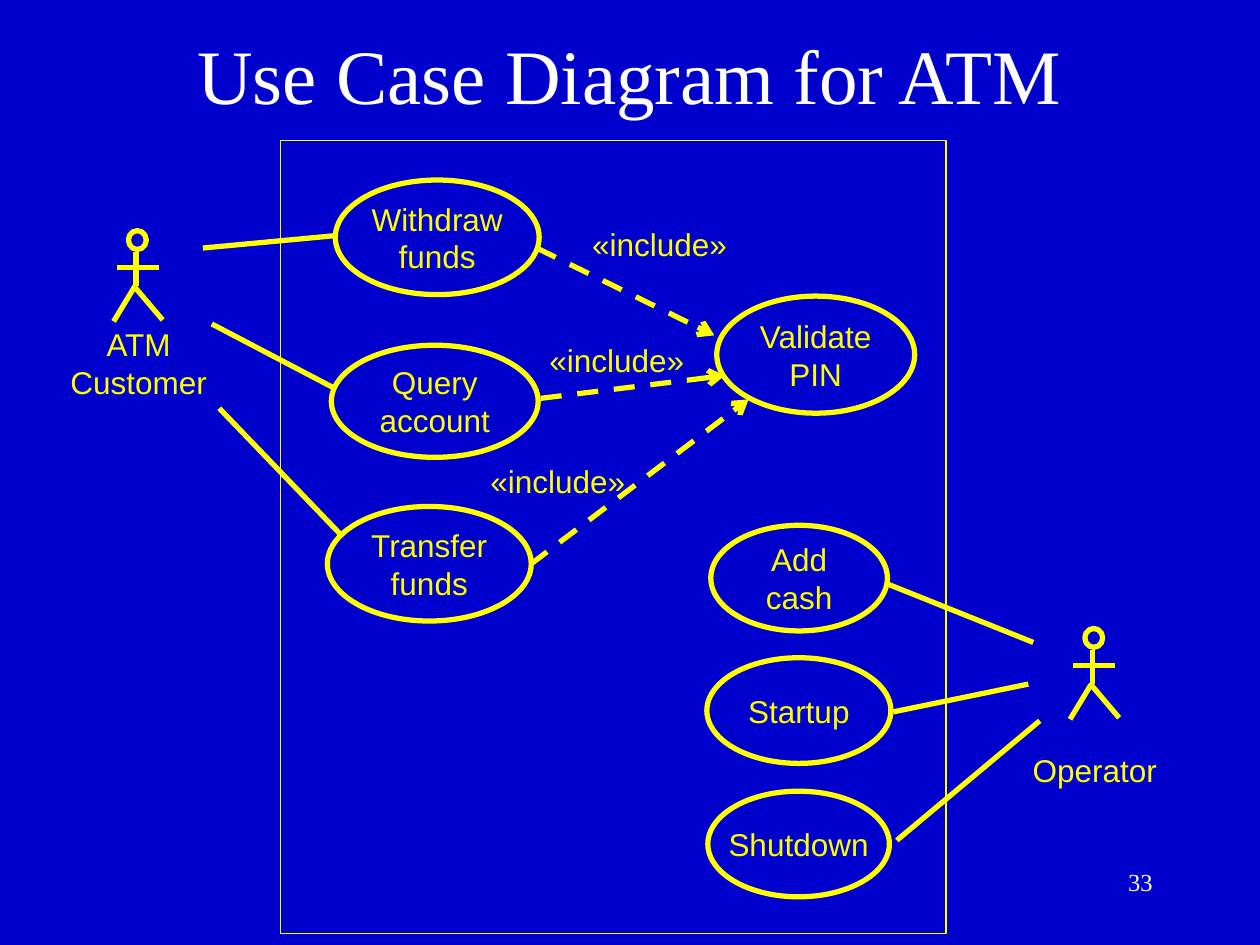
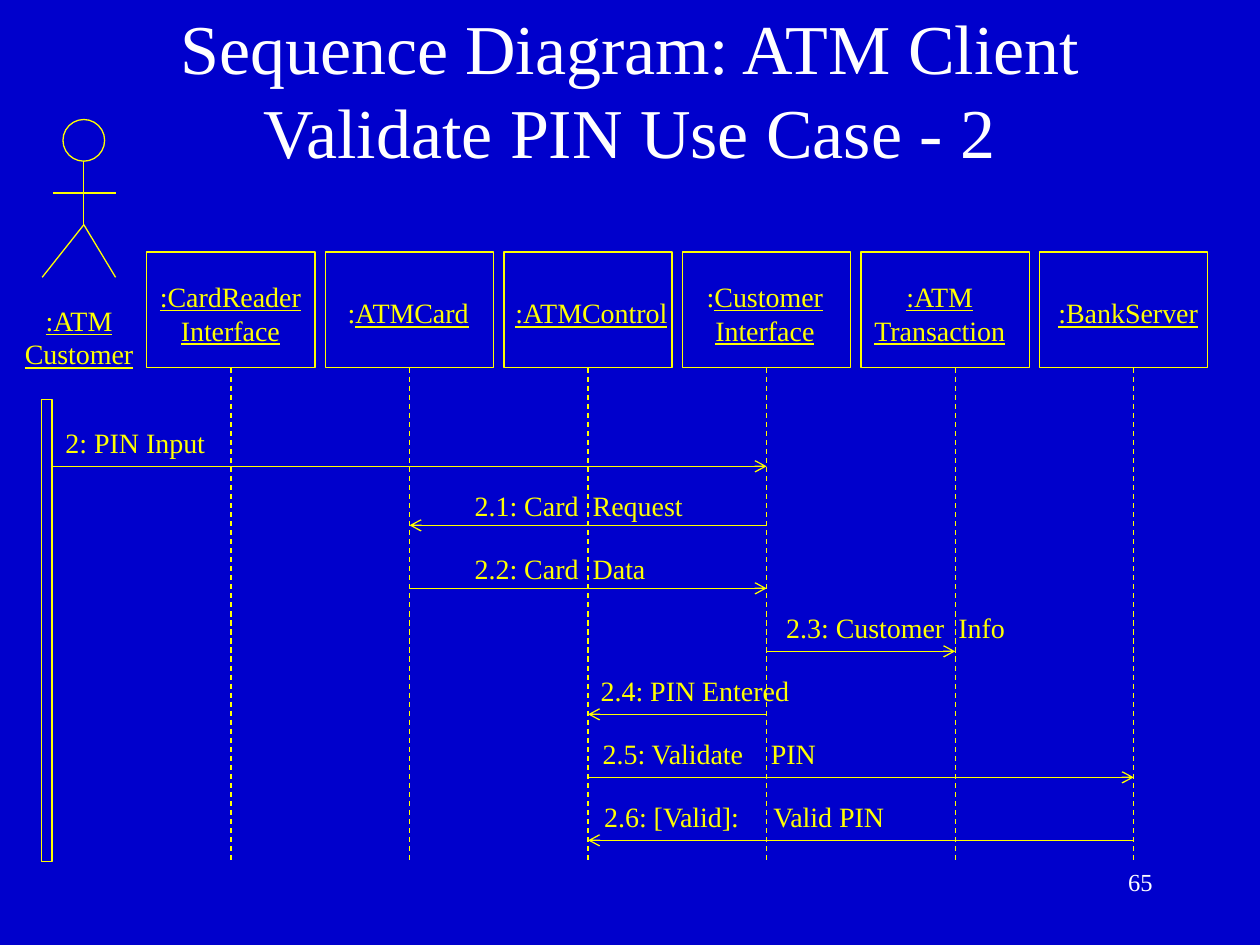
import pptx
import pptx.dml.color
import pptx.enum.dml
import pptx.enum.shapes
import pptx.enum.text
import pptx.oxml.ns
import pptx.util
from lxml import etree

Cm, Pt = pptx.util.Cm, pptx.util.Pt
SHAPE = pptx.enum.shapes.MSO_SHAPE
ALIGN = pptx.enum.text.PP_ALIGN
ANCHOR = pptx.enum.text.MSO_ANCHOR
qn = pptx.oxml.ns.qn


def rgb(hex_color):
    return pptx.dml.color.RGBColor.from_string(hex_color)


class Deck:
    """Holds the shared style and the current slide; lengths are in cm."""
    BACK, INK, WHITE = "0000CC", "FFFF00", "FFFFFF"
    SERIF, SANS = "Times New Roman", "Arial"
    THIN, THICK = 0.75, 3

    def __init__(self):
        self.prs = pptx.Presentation()
        self.prs.slide_width, self.prs.slide_height = Cm(25.4), Cm(19.05)
        fill = self.prs.slide_master.background.fill
        fill.solid()
        fill.fore_color.rgb = rgb(self.BACK)

    def slide(self, title, number, top, height, size):
        self.s = self.prs.slides.add_slide(self.prs.slide_layouts[5])
        sp = self.s.shapes.title
        sp.left, sp.top, sp.width, sp.height = Cm(1.9), Cm(top), Cm(21.59), Cm(height)
        self.set_text(sp.text_frame, [title], size, self.SERIF, self.WHITE)
        sp.text_frame.word_wrap = True
        self.text(18.21, 17.35, 5.28, 1.27, [str(number)], 14, color=self.WHITE,
                  align=ALIGN.RIGHT, anchor=ANCHOR.TOP, wrap=True)

    def set_text(self, tf, lines, size, font, color=INK, align=ALIGN.CENTER,
                 anchor=ANCHOR.MIDDLE, underline=False, tab=None):
        """Add one paragraph per line; text before a "|" is not underlined."""
        tf.auto_size = pptx.enum.text.MSO_AUTO_SIZE.NONE
        tf.vertical_anchor = anchor
        for i, line in enumerate(lines):
            p = tf.add_paragraph() if i else tf.paragraphs[0]
            p.alignment = align
            if tab:
                tabs = etree.SubElement(p._p.get_or_add_pPr(), qn("a:tabLst"))
                etree.SubElement(tabs, qn("a:tab"), pos=str(Cm(tab)), algn="l")
            p.font.size, p.font.name = Pt(size), font
            p.font.color.rgb = rgb(color)
            if underline:
                p.font.underline = True
            plain, _, rest = line.rpartition("|")
            if plain:
                r = p.add_run()
                r.text, r.font.underline = plain, False
            p.add_run().text = rest

    def text(self, x, y, w, h, lines, size, font=SERIF, wrap=False, **style):
        sp = self.s.shapes.add_textbox(Cm(x), Cm(y), Cm(w), Cm(h))
        self.set_text(sp.text_frame, lines, size, font, **style)
        sp.text_frame.word_wrap = wrap

    def outline(self, kind, x, y, w, h, weight=THIN):
        sp = self.s.shapes.add_shape(kind, Cm(x), Cm(y), Cm(w), Cm(h))
        sp.shadow.inherit = False
        sp.fill.background()
        sp.line.color.rgb, sp.line.width = rgb(self.INK), Pt(weight)
        return sp

    def use_case(self, x, y, w, h, *lines):
        sp = self.outline(SHAPE.OVAL, x, y, w, h, self.THICK)
        self.set_text(sp.text_frame, lines, 18, self.SANS)
        sp.text_frame.word_wrap = False

    def line(self, x1, y1, x2, y2, weight=THIN, dashed=False, arrow=False):
        c = self.s.shapes.add_connector(pptx.enum.shapes.MSO_CONNECTOR.STRAIGHT,
                                        Cm(x1), Cm(y1), Cm(x2), Cm(y2))
        c.line.color.rgb, c.line.width = rgb(self.INK), Pt(weight)
        if dashed:
            c.line.dash_style = pptx.enum.dml.MSO_LINE.DASH
        sp_pr = c._element.spPr
        if arrow:
            etree.SubElement(sp_pr.find(qn("a:ln")), qn("a:tailEnd"), type="arrow")
        etree.SubElement(sp_pr, qn("a:effectLst"))
        return c

    def actor(self, x, y, head_w, head_h, limbs, kind=SHAPE.OVAL, weight=THIN):
        """Draw a stick figure; limbs are offsets from the head's top left."""
        self.outline(kind, x, y, head_w, head_h, weight)
        for x1, y1, x2, y2 in limbs:
            self.line(x + x1, y + y1, x + x2, y + y2, weight)


def use_case_slide(d):
    d.slide("Use Case Diagram for ATM", 33, 0.43, 2.11, 44)
    # System boundary and use cases
    d.outline(SHAPE.RECTANGLE, 5.66, 2.84, 13.41, 15.98)
    d.use_case(6.76, 3.63, 4.11, 2.31, "Withdraw", "funds")
    d.use_case(6.68, 6.96, 4.17, 2.26, "Query", "account")
    d.use_case(6.6, 10.21, 4.11, 2.31, "Transfer", "funds")
    d.use_case(14.45, 5.97, 3.99, 2.36, "Validate", "PIN")
    d.use_case(14.33, 10.59, 3.56, 2.13, "Add", "cash")
    d.use_case(14.25, 13.26, 3.71, 2.13, "Startup")
    d.use_case(14.27, 15.95, 3.66, 2.13, "Shutdown")
    # Actors
    limbs = [(-0.23, 0.74, 0.61, 0.74), (0.15, 0.43, 0.15, 1.12),
             (0.13, 1.12, -0.3, 1.83), (0.13, 1.14, 0.69, 1.8)]
    for x, y in [(2.59, 4.65), (21.87, 12.67)]:
        d.actor(x, y, 0.36, 0.38, limbs, SHAPE.FLOWCHART_CONNECTOR, d.THICK)
    d.text(1.17, 6.43, 3.25, 1.78, ["ATM", "Customer"], 18, d.SANS)
    d.text(20.57, 15.01, 3, 1.02, ["Operator"], 18, d.SANS)
    # Associations
    for ends in [(4.09, 5, 6.76, 4.75), (4.27, 6.53, 6.73, 7.82),
                 (4.42, 8.23, 6.91, 10.82), (20.83, 12.95, 17.86, 11.76),
                 (20.73, 13.79, 18.01, 14.35), (20.96, 14.53, 18.08, 16.94)]:
        d.line(*ends, weight=d.THICK)
    # Include relations: arrow ends, then label corner
    for ends, x, y in [((10.82, 5, 14.4, 6.76), 11.68, 4.42),
                       ((10.9, 8.03, 14.61, 7.57), 10.82, 6.76),
                       ((10.69, 11.38, 15.09, 8.05), 9.63, 9.19)]:
        d.line(*ends, weight=d.THICK, dashed=True, arrow=True)
        d.text(x, y, 3.23, 1.02, ["«include»"], 18, d.SANS, anchor=ANCHOR.TOP)


def sequence_slide(d):
    d.slide("Sequence Diagram: ATM Client Validate PIN Use Case - 2", 65, 0.2, 3.18, 40)
    # Customer with activation bar
    d.actor(1.27, 2.41, 0.84, 0.84,
            [(0.42, 0.84, 0.42, 2.12), (-0.21, 1.48, 1.06, 1.48),
             (0.42, 2.12, 1.06, 3.18), (0.42, 2.12, -0.42, 3.18)])
    d.text(0.25, 5.99, 2.69, 1.63, [":ATM", "Customer"], 16,
           anchor=ANCHOR.TOP, underline=True)
    d.outline(SHAPE.RECTANGLE, 0.84, 8.05, 0.21, 9.32)

    # Objects: name lines, label left and width, lifeline shift from box centre
    objects = [([":CardReader", "Interface"], 2.97, 3.35, 0),
               ([":|ATMCard"], 6.73, 3, 0),
               ([":ATMControl"], 10.11, 3.63, 0),
               ([":|Customer", "Interface"], 14, 2.84, 0),
               ([":ATM", "Transaction"], 17.37, 3.15, 0.2),
               ([":BankServer"], 21.08, 3.33, 0.2)]
    box_w, box_h, box_top, pitch = 3.39, 2.33, 5.08, 3.6
    lifelines = []
    for i, (lines, x, w, shift) in enumerate(objects):
        left = 2.96 + i * pitch
        box = d.outline(SHAPE.RECTANGLE, left, box_top, box_w, box_h)
        top, h = (5.51, 1.63) if len(lines) == 2 else (5.84, 0.94)
        d.text(x, top, w, h, lines, 16, anchor=ANCHOR.TOP, underline=True)
        center = left + box_w / 2 + shift
        c = d.line(center, box_top + box_h, center, 17.35, dashed=True)
        if not shift:
            c.begin_connect(box, 2)
        lifelines.append(center)
    _, card, control, interface, transaction, bank = lifelines

    # Messages: text, sender, receiver, label left, width, lift and tab stop
    messages = [("2: PIN Input", 1.05, interface, 1.07, 3.6, 0.94, None),
                ("2.1: Card\tRequest", interface, card, 9.32, 4.9, 0.86, 2.38),
                ("2.2: Card\tData", card, interface, 9.32, 4.2, 0.86, 2.38),
                ("2.3: Customer\tInfo", interface, transaction, 15.6, 5.1, 0.94, 3.47),
                ("2.4: PIN Entered", interface, control, 11.86, 4.5, 0.94, None),
                ("2.5: Validate\tPIN", control, bank, 11.9, 5.1, 0.94, 3.39),
                ("2.6: [Valid]:\tValid PIN", bank, control, 11.93, 6.5, 0.94, 3.41)]
    for i, (words, x1, x2, x, w, lift, tab) in enumerate(messages):
        y = 9.32 + 1.27 * i if i else 9.4
        d.line(x1, y, x2, y, arrow=True)
        d.text(x, y - lift, w, 0.94, [words], 16, wrap=True,
               align=ALIGN.LEFT, anchor=ANCHOR.TOP, tab=tab)


def main():
    d = Deck()
    use_case_slide(d)
    sequence_slide(d)
    d.prs.save("out.pptx")


if __name__ == "__main__":
    main()
